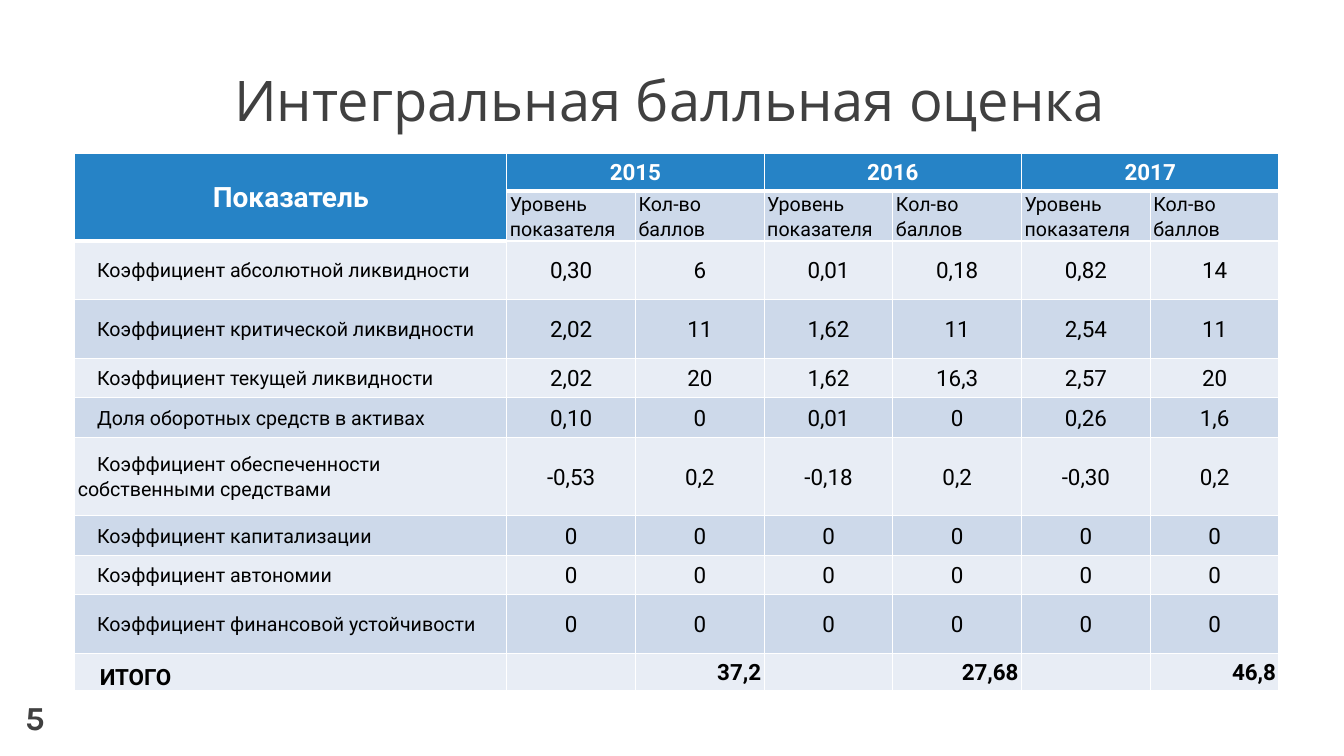
from copy import deepcopy
from dataclasses import dataclass

from lxml.etree import SubElement
from pptx import Presentation
from pptx.dml.color import RGBColor
from pptx.enum.text import MSO_ANCHOR as Anchor, PP_ALIGN as Align
from pptx.oxml.ns import qn
from pptx.util import Pt

BLUE, MIDDLE, PALE = "2683C6", "CDD9EA", "E8EDF5"
WHITE, BLACK, GREY = "FFFFFF", "000000", "404040"
YEARS = ("2015", "2016", "2017")
SUBHEADS = ("Уровень\nпоказателя", "Кол-во\nбаллов")
TABLE_LEFT, TABLE_TOP = 53.4, 109.6
NAME_WIDTH, VALUE_WIDTH = 308.6, 91.95
YEAR_HEIGHT, SUBHEAD_HEIGHT, TOTAL_HEIGHT = 26.6, 34.6, 26.6
SHORT, MEDIUM, TALL = 28.1, 42, 56.2


@dataclass
class Indicator:
    name: str
    height: float
    values: tuple[str, ...]


ZEROS = ("0",) * 6
INDICATORS = [
    Indicator("Коэффициент абсолютной ликвидности", MEDIUM,
              ("0,30", "6", "0,01", "0,18", "0,82", "14")),
    Indicator("Коэффициент критической ликвидности", MEDIUM,
              ("2,02", "11", "1,62", "11", "2,54", "11")),
    Indicator("Коэффициент текущей ликвидности", SHORT,
              ("2,02", "20", "1,62", "16,3", "2,57", "20")),
    Indicator("Доля оборотных средств в активах", SHORT,
              ("0,10", "0", "0,01", "0", "0,26", "1,6")),
    Indicator("Коэффициент обеспеченности собственными средствами", TALL,
              ("-0,53", "0,2", "-0,18", "0,2", "-0,30", "0,2")),
    Indicator("Коэффициент капитализации", SHORT, ZEROS),
    Indicator("Коэффициент автономии", SHORT, ZEROS),
    Indicator("Коэффициент финансовой устойчивости", MEDIUM, ZEROS),
]
TOTALS = ("", "37,2", "", "27,68", "", "46,8")


def color(value: str) -> RGBColor:
    return RGBColor.from_string(value)


def write(frame, text: str, *, size: float, font: str = "Roboto", fill: str = BLACK,
          bold: bool = False, align=Align.LEFT, spacing: float = 1.07,
          indent: float = 0) -> None:
    """Fill the first paragraph; a newline in the text is a line break."""
    paragraph = frame.paragraphs[0]
    paragraph.text = text
    paragraph.alignment = align
    paragraph.line_spacing = spacing
    if indent:
        paragraph._p.get_or_add_pPr().set("indent", str(Pt(indent)))
    for run in paragraph.runs:
        run.font.size = Pt(size)
        run.font.name = font
        run.font.bold = bold
        run.font.color.rgb = color(fill)
    for line_break in paragraph._p.findall(qn("a:br")):
        line_break.insert(0, deepcopy(paragraph.runs[0]._r.rPr))


def add_text(slide, left: float, top: float, width: float, height: float, text: str,
             *, anchor=Anchor.TOP, **text_format) -> None:
    box = slide.shapes.add_textbox(Pt(left), Pt(top), Pt(width), Pt(height))
    box.text_frame.word_wrap = True
    box.text_frame.vertical_anchor = anchor
    write(box.text_frame, text, **text_format)


def set_borders(cell, bottom: float) -> None:
    """Draw white sides of 1 pt and a bottom line of the given width."""
    properties = cell._tc.get_or_add_tcPr()
    sides = {"a:lnL": 1, "a:lnR": 1, "a:lnB": bottom}
    for position, (tag, width) in enumerate(sides.items()):
        line = SubElement(properties, qn(tag), w=str(Pt(width)))
        fill = SubElement(line, qn("a:solidFill"))
        SubElement(fill, qn("a:srgbClr"), val=WHITE)
        properties.insert(position, line)


def fill_cell(cell, text: str, background: str, *, anchor=Anchor.MIDDLE,
              **text_format) -> None:
    cell.fill.solid()
    cell.fill.fore_color.rgb = color(background)
    cell.margin_left = cell.margin_right = Pt(2.2)
    cell.margin_top = cell.margin_bottom = 0
    cell.vertical_anchor = anchor
    write(cell.text_frame, text, **text_format)


def add_score_table(slide) -> None:
    heights = [YEAR_HEIGHT, SUBHEAD_HEIGHT, *(item.height for item in INDICATORS),
               TOTAL_HEIGHT]
    widths = [NAME_WIDTH] + [VALUE_WIDTH] * (len(YEARS) * len(SUBHEADS))
    table = slide.shapes.add_table(
        len(heights), len(widths), Pt(TABLE_LEFT), Pt(TABLE_TOP),
        Pt(sum(widths)), Pt(sum(heights))).table
    for column, width in zip(table.columns, widths):
        column.width = Pt(width)
    for index, (row, height) in enumerate(zip(table.rows, heights)):
        row.height = Pt(height)
        for cell in row.cells:
            set_borders(cell, bottom=3 if index == 0 else 1)

    heading = {"fill": WHITE, "bold": True, "align": Align.CENTER}
    table.cell(0, 0).merge(table.cell(1, 0))
    fill_cell(table.cell(0, 0), "Показатель", BLUE, size=20, **heading)
    for index, year in enumerate(YEARS):
        first = 1 + index * len(SUBHEADS)
        table.cell(0, first).merge(table.cell(0, first + 1))
        fill_cell(table.cell(0, first), year, BLUE, size=16, **heading)
        for offset, subhead in enumerate(SUBHEADS):
            fill_cell(table.cell(1, first + offset), subhead, MIDDLE, size=14,
                      anchor=Anchor.BOTTOM)

    for row, item in enumerate(INDICATORS, start=2):
        background = MIDDLE if row % 2 else PALE
        fill_cell(table.cell(row, 0), item.name, background, size=14, indent=13.8)
        for column, value in enumerate(item.values, start=1):
            fill_cell(table.cell(row, column), value, background, size=16,
                      align=Align.CENTER)

    last = len(heights) - 1
    fill_cell(table.cell(last, 0), "ИТОГО", PALE, size=16, bold=True, indent=15.8,
              anchor=Anchor.BOTTOM)
    for column, total in enumerate(TOTALS, start=1):
        fill_cell(table.cell(last, column), total, PALE, size=16, bold=True,
                  align=Align.RIGHT)


def main() -> None:
    presentation = Presentation()
    presentation.slide_width, presentation.slide_height = Pt(960), Pt(540)
    slide = presentation.slides.add_slide(presentation.slide_layouts[6])
    add_text(slide, 62.6, 9.4, 831.6, 89.3, "Интегральная балльная оценка", size=40,
             font="Open Sans", fill=GREY, align=Align.CENTER, spacing=0.9,
             anchor=Anchor.BOTTOM)
    add_score_table(slide)
    add_text(slide, 10.8, 493.9, 26.6, 36, "5", size=24, font="Karla", fill=GREY,
             bold=True, spacing=1.0)
    presentation.save("out.pptx")


if __name__ == "__main__":
    main()
